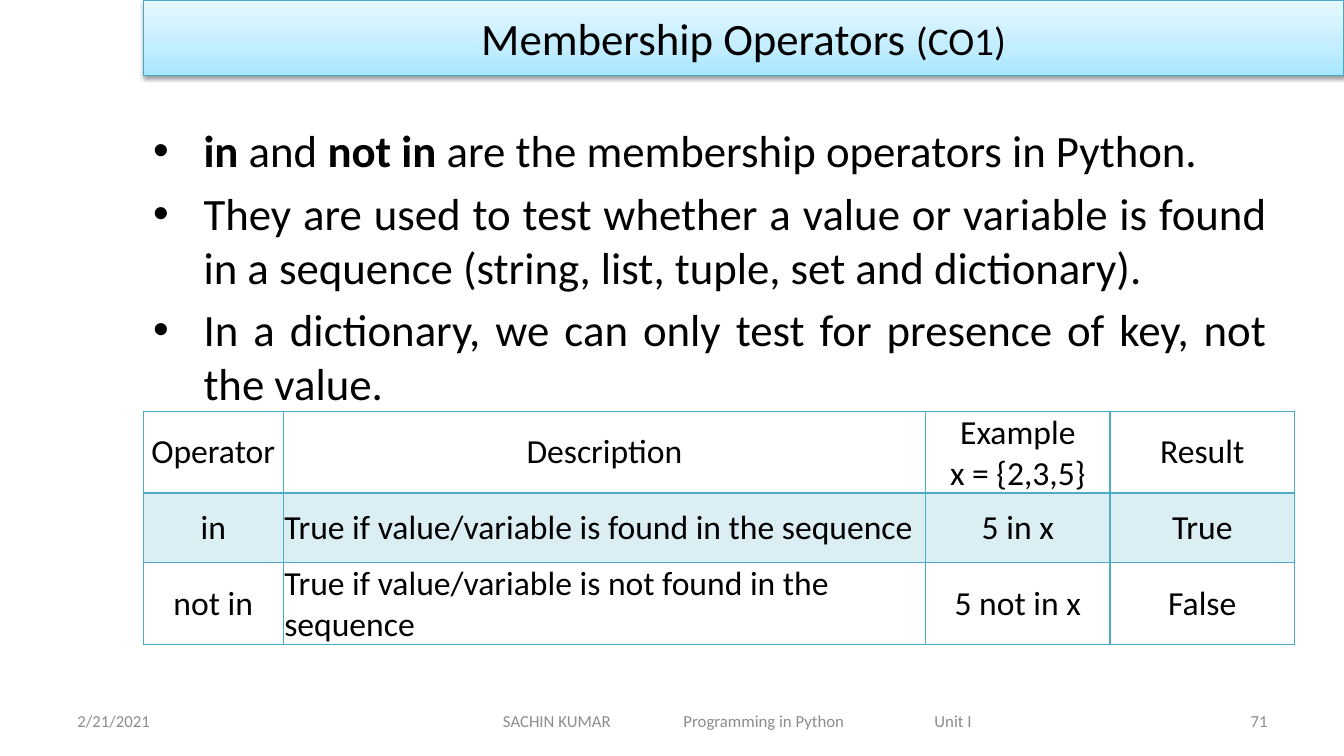
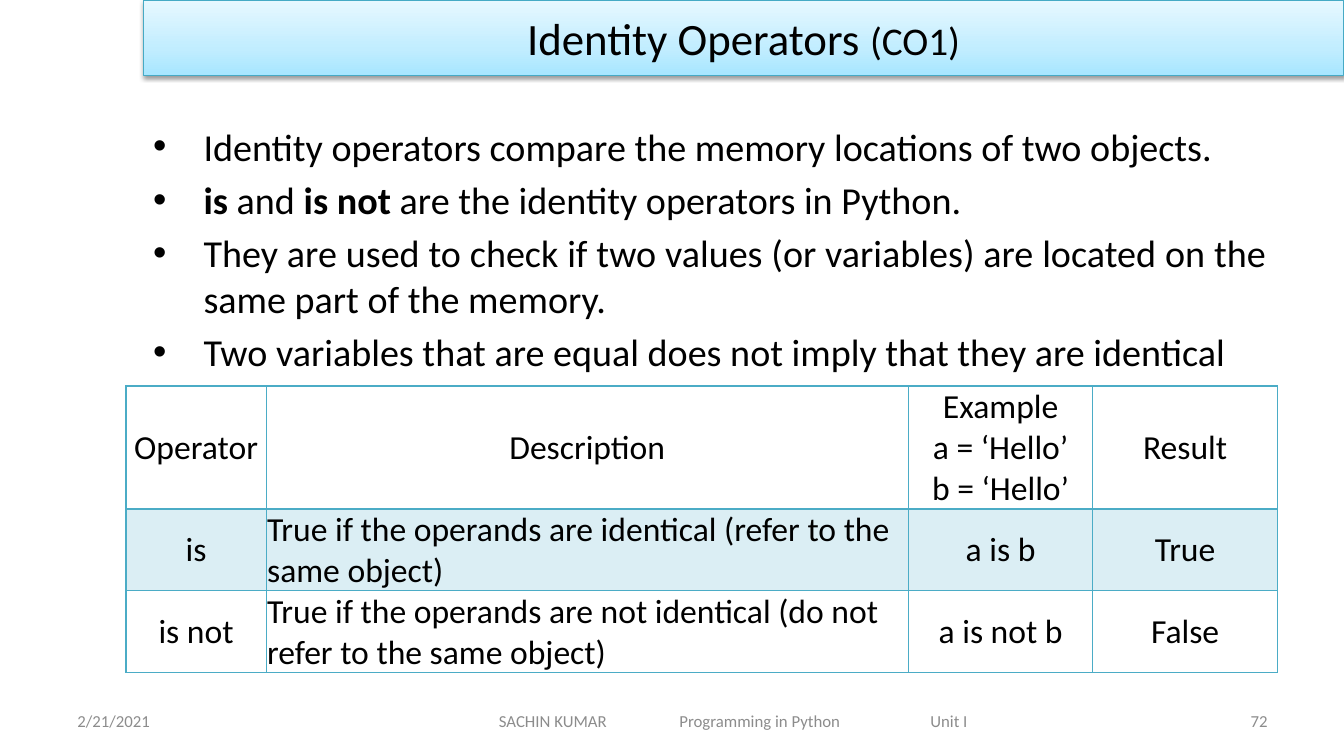
from lxml.etree import SubElement
from pptx import Presentation
from pptx.dml.color import RGBColor
from pptx.enum.text import MSO_ANCHOR, MSO_AUTO_SIZE, PP_ALIGN
from pptx.oxml.ns import qn
from pptx.util import Inches, Pt

COLORS = {
    "text": "000000",
    "footer": "8C8C8C",
    "band_line": "46AAC5",
    "grid": "4BACC6",
    "stripe": "DBEEF4",
}
BAND_STOPS = [(0, "A7E6FF"), (35, "C1EDFF"), (100, "E7F8FF")]
FOOTER_TABS = [1.79, 4.28]
COLUMN_WIDTHS = [1.39, 6.37, 1.83, 1.83]
DESCRIPTION_COLUMN = 1


def add_xml(parent, tag, **attributes):
    child = SubElement(parent, qn(tag))
    for name, value in attributes.items():
        child.set(name, str(value))
    return child


class OperatorDeck:
    font = "Calibri"
    left = 1.42

    def __init__(self):
        self.presentation = Presentation()
        self.presentation.slide_width = Inches(13.33)
        self.presentation.slide_height = Inches(7.5)
        self.slide = None

    def new_slide(self):
        self.slide = self.presentation.slides.add_slide(self.presentation.slide_layouts[5])

    def style(self, run, size, color="text", bold=False):
        run.font.name = self.font
        run.font.size = Pt(size)
        run.font.bold = bold
        run.font.color.rgb = RGBColor.from_string(COLORS[color])

    def title(self, topic, outcome):
        band = self.slide.shapes.title
        band.left, band.top = Inches(self.left), Inches(0)
        band.width, band.height = Inches(13.33 - self.left), Inches(0.75)
        band.fill.gradient()
        band.fill.gradient_angle = 90
        properties = band.element.spPr
        stops = properties.find(qn("a:gradFill")).find(qn("a:gsLst"))
        for stop in list(stops):
            stops.remove(stop)
        for position, color in BAND_STOPS:
            stop = add_xml(stops, "a:gs", pos=position * 1000)
            add_xml(stop, "a:srgbClr", val=color)
        band.line.color.rgb = RGBColor.from_string(COLORS["band_line"])
        band.line.width = Pt(0.75)
        band.shadow.inherit = False
        shadow = add_xml(properties.find(qn("a:effectLst")), "a:outerShdw",
                         blurRad=Pt(3.1), dist=Pt(1.6), dir=5400000, rotWithShape=0)
        add_xml(add_xml(shadow, "a:srgbClr", val="000000"), "a:alpha", val=38000)

        frame = band.text_frame
        frame.auto_size = MSO_AUTO_SIZE.NONE
        frame.vertical_anchor = MSO_ANCHOR.MIDDLE
        paragraph = frame.paragraphs[0]
        paragraph.alignment = PP_ALIGN.CENTER
        for text, size in ((f"{topic} ", 32), (outcome, 28)):
            run = paragraph.add_run()
            run.text = text
            self.style(run, size)

    def text_box(self, left, top, width, height):
        box = self.slide.shapes.add_textbox(Inches(left), Inches(top), Inches(width), Inches(height))
        box.text_frame.word_wrap = True
        return box.text_frame

    def bullets(self, points, size, height):
        frame = self.text_box(self.left, 1.17, 11.25, height)
        for index, point in enumerate(points):
            paragraph = frame.add_paragraph() if index else frame.paragraphs[0]
            paragraph.alignment = PP_ALIGN.JUSTIFY
            paragraph.space_before = Pt(size * 0.2)
            properties = paragraph._p.get_or_add_pPr()
            properties.set("marL", str(Inches(0.5)))
            properties.set("indent", str(-Inches(0.5)))
            add_xml(properties, "a:buFont", typeface="Arial")
            add_xml(properties, "a:buChar", char="•")
            for part, text in enumerate(point.split("*")):
                if text:
                    run = paragraph.add_run()
                    run.text = text
                    self.style(run, size, bold=part % 2 == 1)

    def footer_text(self, text, left, width, alignment=PP_ALIGN.LEFT):
        frame = self.text_box(left, 6.95, width, 0.4)
        frame.vertical_anchor = MSO_ANCHOR.MIDDLE
        paragraph = frame.paragraphs[0]
        paragraph.text = text
        paragraph.alignment = alignment
        for run in paragraph.runs:
            self.style(run, 12, "footer")
        return paragraph

    def footer(self, page, course_left):
        self.footer_text("2/21/2021", 0.67, 3.11)
        course = self.footer_text("SACHIN KUMAR\tProgramming in Python\tUnit I", course_left, 5)
        tabs = add_xml(course._p.get_or_add_pPr(), "a:tabLst")
        for position in FOOTER_TABS:
            add_xml(tabs, "a:tab", pos=Inches(position), algn="l")
        self.footer_text(str(page), 9.56, 3.11, PP_ALIGN.RIGHT)

    def borders(self, cell, top, bottom):
        properties = cell._tc.get_or_add_tcPr()
        for side, width in (("L", 1), ("R", 1), ("T", top), ("B", bottom)):
            line = add_xml(properties, f"a:ln{side}", w=Pt(width))
            add_xml(add_xml(line, "a:solidFill"), "a:srgbClr", val=COLORS["grid"])

    def cell(self, cell, text, row, column):
        self.borders(cell, 2 if row == 1 else 1, 2 if row == 0 else 1)
        if row == 1:
            cell.fill.solid()
            cell.fill.fore_color.rgb = RGBColor.from_string(COLORS["stripe"])
        else:
            cell.fill.background()
        cell.margin_left = cell.margin_right = cell.margin_top = Inches(0.01)
        cell.margin_bottom = 0
        cell.vertical_anchor = MSO_ANCHOR.MIDDLE
        cell.text_frame.text = text
        is_description = row > 0 and column == DESCRIPTION_COLUMN
        for paragraph in cell.text_frame.paragraphs:
            paragraph.alignment = PP_ALIGN.LEFT if is_description else PP_ALIGN.CENTER
            for run in paragraph.runs:
                self.style(run, 24)

    def table(self, example, operators, left, top, row_heights):
        rows = [("Operator", "Description", example, "Result"), *operators]
        table = self.slide.shapes.add_table(
            len(rows), len(COLUMN_WIDTHS), Inches(left), Inches(top),
            Inches(sum(COLUMN_WIDTHS)), Inches(sum(row_heights))).table
        table.first_row = table.horz_banding = False
        for column, width in zip(table.columns, COLUMN_WIDTHS):
            column.width = Inches(width)
        for row, height in zip(table.rows, row_heights):
            row.height = Inches(height)
        for row, texts in enumerate(rows):
            for column, text in enumerate(texts):
                self.cell(table.cell(row, column), text, row, column)


def main():
    deck = OperatorDeck()

    deck.new_slide()
    deck.title("Membership Operators", "(CO1)")
    deck.bullets([
        "*in* and *not in* are the membership operators in Python.",
        "They are used to test whether a value or variable is found in a sequence "
        "(string, list, tuple, set and dictionary).",
        "In a dictionary, we can only test for presence of key, not the value.",
    ], 32, 2.92)
    deck.table("Example\nx = {2,3,5}", [
        ("in", "True if value/variable is found in the sequence", "5 in x", "True"),
        ("not in", "True if value/variable is not found in the sequence", "5 not in x", "False"),
    ], 1.42, 4.08, [0.81, 0.69, 0.81])
    deck.footer(71, 4.89)

    deck.new_slide()
    deck.title("Identity Operators", "(CO1)")
    deck.bullets([
        "Identity operators compare the memory locations of two objects.",
        "*is* and *is not* are the identity operators in Python.",
        "They are used to check if two values (or variables) are located on the same "
        "part of the memory.",
        "Two variables that are equal does not imply that they are identical",
    ], 27.2, 2.58)
    deck.table("Example\na = ‘Hello’\nb = ‘Hello’", [
        ("is", "True if the operands are identical (refer to the same object)", "a is b", "True"),
        ("is not", "True if the operands are not identical (do not refer to the same object)",
         "a is not b", "False"),
    ], 1.25, 3.83, [1.22, 0.81, 0.81])
    deck.footer(72, 4.85)

    deck.presentation.save("out.pptx")


if __name__ == "__main__":
    main()
